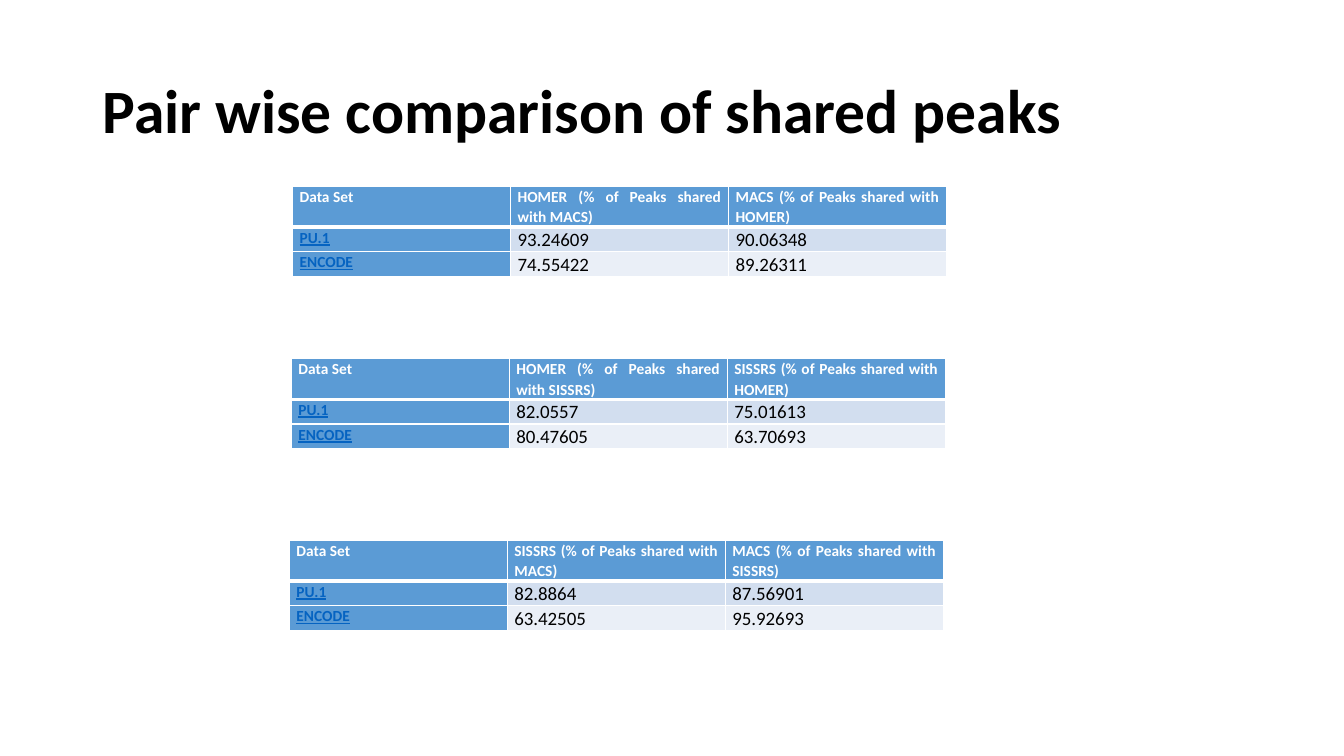
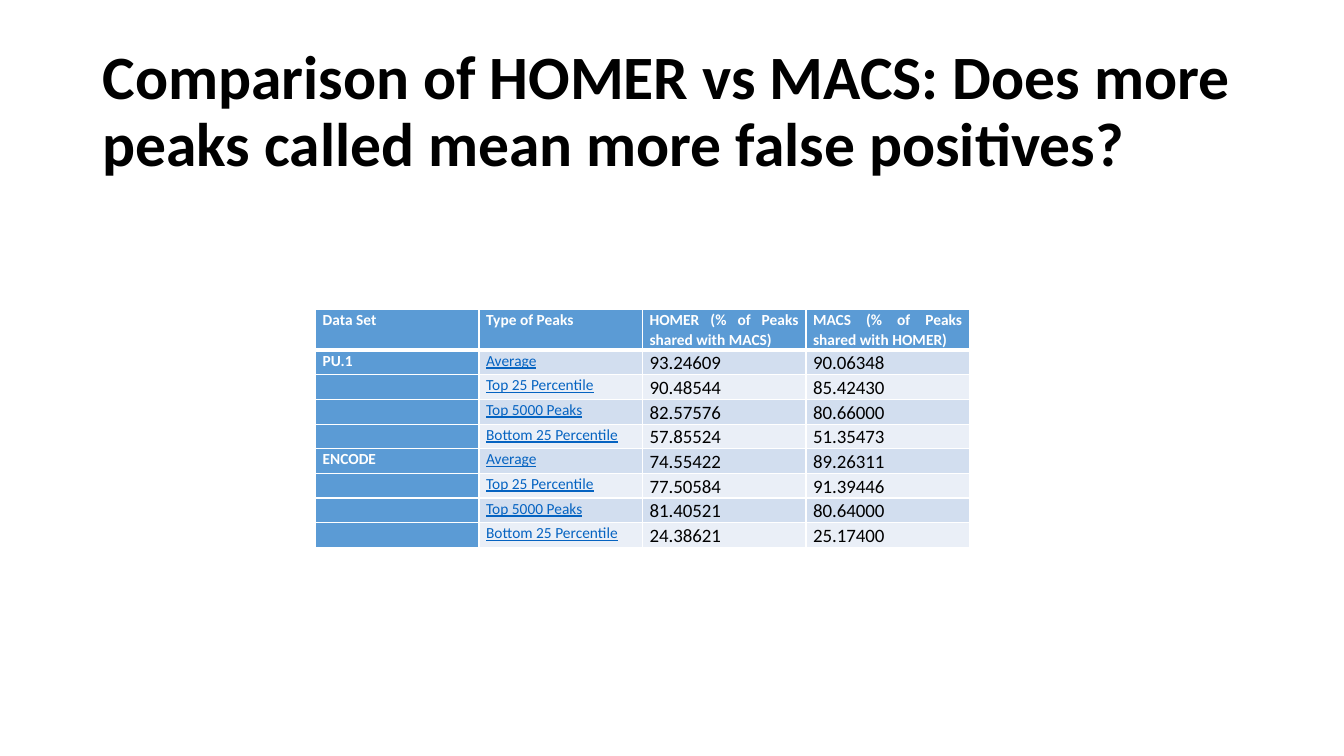
import pptx
import pptx.dml.color
import pptx.enum.text
import pptx.oxml
import pptx.oxml.ns
import pptx.util

Cm = pptx.util.Cm
Pt = pptx.util.Pt

COLOURS = {
    "ink": "000000",
    "paper": "FFFFFF",
    "accent": "5B9BD5",
    "link": "0563C1",
    "band_dark": "D2DEEF",
    "band_light": "EAEFF7",
}

CELL_STYLES = {
    "heading": {"size": 11, "colour": "paper", "bold": True},
    "key_link": {"size": 11, "colour": "link", "bold": True, "underline": True},
    "link": {"size": 11, "colour": "link", "underline": True},
    "number": {"size": 13.5, "colour": "ink"},
}


class Presenter:
    font = "Calibri"
    table_width = 16.48
    header_height = 1.02
    row_height = 0.62

    def __init__(self):
        self.deck = pptx.Presentation()
        self.deck.slide_width = Cm(33.87)
        self.deck.slide_height = Cm(19.05)
        self.page = None

    def rgb(self, name):
        return pptx.dml.color.RGBColor.from_string(COLOURS[name])

    def add_page(self, title):
        self.page = self.deck.slides.add_slide(self.deck.slide_layouts[5])
        box = self.page.shapes.title
        box.left, box.top, box.width, box.height = Cm(2.33), Cm(1.01), Cm(29.21), Cm(3.68)
        frame = box.text_frame
        frame.word_wrap = True
        frame.auto_size = pptx.enum.text.MSO_AUTO_SIZE.NONE
        frame.vertical_anchor = pptx.enum.text.MSO_ANCHOR.MIDDLE
        para = frame.paragraphs[0]
        para.alignment = pptx.enum.text.PP_ALIGN.LEFT
        para.line_spacing = 0.9
        self.add_run(para, title, 44, "ink", bold=True)

    def add_run(self, para, text, size, colour, bold=False, underline=False):
        span = para.add_run()
        span.text = text
        span.font.name = self.font
        span.font.size = Pt(size)
        span.font.bold = bold
        span.font.underline = underline
        span.font.color.rgb = self.rgb(colour)

    def add_borders(self, cell, top, bottom):
        properties = cell._tc.get_or_add_tcPr()
        for side, width in (("L", 1), ("R", 1), ("T", top), ("B", bottom)):
            properties.append(pptx.oxml.parse_xml(
                f'<a:ln{side} {pptx.oxml.ns.nsdecls("a")} w="{Pt(width)}"><a:solidFill>'
                f'<a:srgbClr val="{COLOURS["paper"]}"/></a:solidFill></a:ln{side}>'
            ))

    def fill_cell(self, cell, text, style, fill):
        cell.margin_left = cell.margin_right = Cm(0.18)
        cell.margin_top = cell.margin_bottom = Cm(0)
        cell.fill.solid()
        cell.fill.fore_color.rgb = self.rgb(fill)
        para = cell.text_frame.paragraphs[0]
        para.alignment = pptx.enum.text.PP_ALIGN.JUSTIFY
        para.line_spacing = 1.07
        if text:
            self.add_run(para, text, **CELL_STYLES[style])
        else:
            para._p.append(pptx.oxml.parse_xml(
                f'<a:endParaRPr {pptx.oxml.ns.nsdecls("a")} sz="1100"/>'
            ))

    def add_table(self, left, top, column_styles, rows):
        height = self.header_height + self.row_height * (len(rows) - 1)
        table = self.page.shapes.add_table(
            len(rows), len(column_styles), Cm(left), Cm(top), Cm(self.table_width), Cm(height)
        ).table
        for column in table.columns:
            column.width = Cm(self.table_width / len(column_styles))
        for r, texts in enumerate(rows):
            table.rows[r].height = Cm(self.row_height if r else self.header_height)
            band = "band_dark" if r % 2 else "band_light"
            for c, text in enumerate(texts):
                cell = table.cell(r, c)
                self.add_borders(cell, 3 if r == 1 else 1, 1 if r else 3)
                style = column_styles[c] if r else "heading"
                self.fill_cell(cell, text, style, band if r and c else "accent")

    def save(self):
        self.deck.save("out.pptx")


def shared(caller, other):
    return f"{caller} (% of Peaks shared with {other})"


PAIRS = [
    (7.37, 4.7, "HOMER", "MACS", ("93.24609", "90.06348"), ("74.55422", "89.26311")),
    (7.34, 9.04, "HOMER", "SISSRS", ("82.0557", "75.01613"), ("80.47605", "63.70693")),
    (7.29, 13.62, "SISSRS", "MACS", ("82.8864", "87.56901"), ("63.42505", "95.92693")),
]

PEAK_ROWS = [
    ("PU.1", "Average", "93.24609", "90.06348"),
    ("", "Top 25 Percentile", "90.48544", "85.42430"),
    ("", "Top 5000 Peaks", "82.57576", "80.66000"),
    ("", "Bottom 25 Percentile", "57.85524", "51.35473"),
    ("ENCODE", "Average", "74.55422", "89.26311"),
    ("", "Top 25 Percentile", "77.50584", "91.39446"),
    ("", "Top 5000 Peaks", "81.40521", "80.64000"),
    ("", "Bottom 25 Percentile", "24.38621", "25.17400"),
]


def main():
    show = Presenter()
    show.add_page("Pair wise comparison of shared peaks")
    for left, top, first, second, pu1, encode in PAIRS:
        show.add_table(left, top, ["key_link", "number", "number"], [
            ("Data Set", shared(first, second), shared(second, first)),
            ("PU.1", *pu1),
            ("ENCODE", *encode),
        ])

    show.add_page("Comparison of HOMER vs MACS: Does more peaks called mean more false positives?")
    header = ("Data Set", "Type of Peaks", shared("HOMER", "MACS"), shared("MACS", "HOMER"))
    show.add_table(7.95, 7.8, ["heading", "link", "number", "number"], [header, *PEAK_ROWS])
    show.save()


if __name__ == "__main__":
    main()
